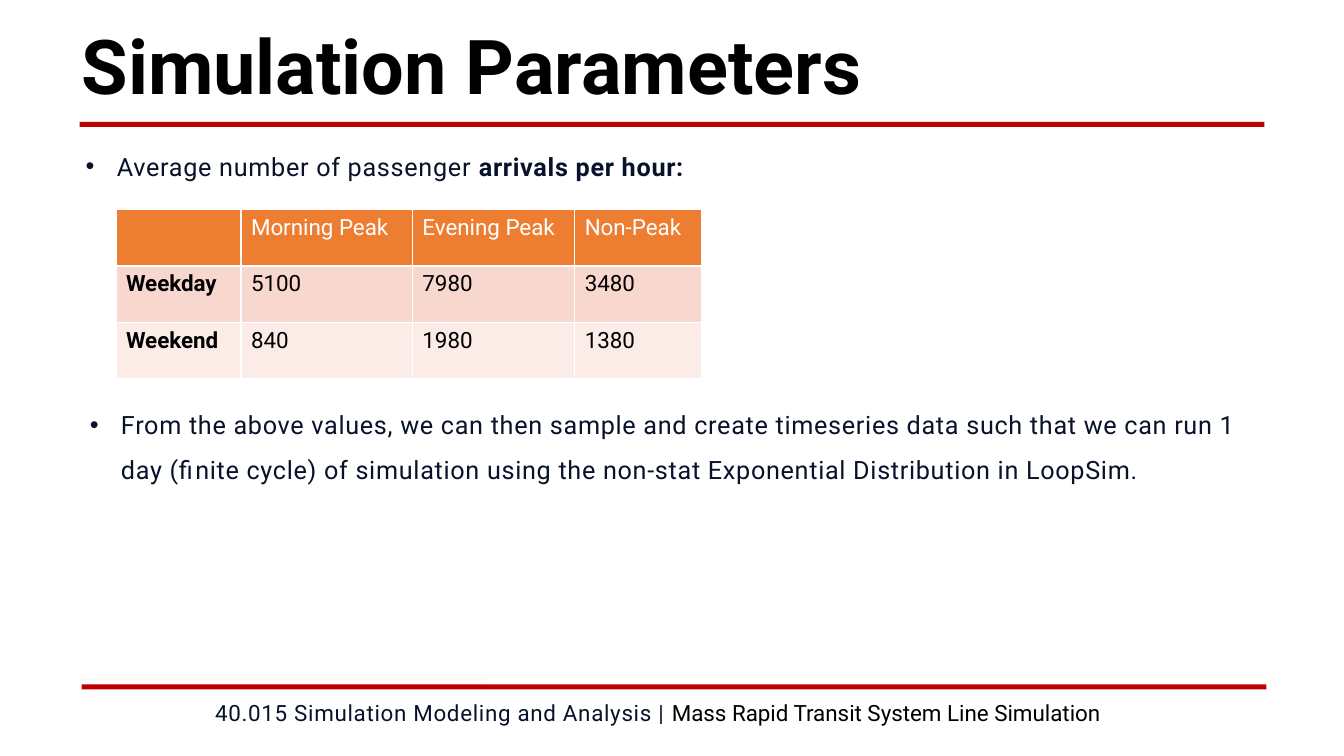
from dataclasses import dataclass

import pptx
import pptx.dml.color
import pptx.enum.shapes
import pptx.enum.text
import pptx.util

EMU_PER_PX = 9144
FONT = "Roboto"
COLORS = {
    "red": "C00000",
    "pale": "F5F6F4",
    "navy": "08122B",
    "black": "000000",
    "white": "FFFFFF",
    "header": "ED7D31",
    "weekday": "F8D7CE",
    "weekend": "FCECE8",
}
COLUMN_WIDTHS = (124, 170, 161, 126)
ROW_HEIGHT = 56


@dataclass(frozen=True)
class Box:
    left: int
    top: int
    width: int
    height: int

    def emu(self) -> tuple:
        return tuple(px(side) for side in (self.left, self.top, self.width, self.height))


@dataclass(frozen=True)
class Bar:
    box: Box
    color: str


@dataclass(frozen=True)
class Run:
    text: str
    color: str = "navy"
    bold: bool = False
    spacing: int = 50


@dataclass(frozen=True)
class Bullet:
    placeholder: int
    box: Box
    runs: tuple
    line_spacing: object
    inset: tuple


@dataclass(frozen=True)
class Row:
    cells: tuple
    fill: str
    color: str = "black"
    bold_first: bool = True


def px(value: int):
    return pptx.util.Emu(value * EMU_PER_PX)


def rgb(name: str):
    return pptx.dml.color.RGBColor.from_string(COLORS[name])


TIGHT = pptx.util.Pt(14.9)

BARS = (
    Bar(Box(77, 674, 405, 1), "pale"),
    Bar(Box(81, 679, 1175, 5), "red"),
    Bar(Box(79, 121, 1175, 5), "red"),
)
BULLETS = (
    Bullet(1, Box(85, 159, 1171, 274),
           (Run("Average number of passenger "), Run("arrivals per hour:", bold=True)),
           TIGHT, (0, 0)),
    Bullet(2, Box(79, 386, 1175, 96),
           (Run("From the above values, we can then sample and create timeseries data "
                "such that we can run 1 day (finite cycle) of simulation using the "
                "non-stat Exponential Distribution in LoopSim."),),
           1.5, (10, 5)),
)
FOOTER = (
    Run("40.015 Simulation Modeling and Analysis | "),
    Run("Mass Rapid Transit System Line Simulation", "black", spacing=0),
)
ROWS = (
    Row(("", "Morning Peak", "Evening Peak", "Non-Peak"), "header", "white", False),
    Row(("Weekday", "5100", "7980", "3480"), "weekday"),
    Row(("Weekend", "840", "1980", "1380"), "weekend"),
)


def draw_bar(slide, bar: Bar) -> None:
    shape = slide.shapes.add_shape(pptx.enum.shapes.MSO_SHAPE.RECTANGLE, *bar.box.emu())
    shape.shadow.inherit = False
    shape.fill.solid()
    shape.fill.fore_color.rgb = rgb(bar.color)
    shape.line.fill.background()


def write_text(shape, box: Box, runs: tuple, size: int, line_spacing,
               align, inset: tuple = (0, 0)):
    shape.left, shape.top, shape.width, shape.height = box.emu()
    frame = shape.text_frame
    frame.word_wrap = True
    frame.auto_size = pptx.enum.text.MSO_AUTO_SIZE.NONE
    frame.vertical_anchor = pptx.enum.text.MSO_ANCHOR.TOP
    frame.margin_left = frame.margin_right = px(inset[0])
    frame.margin_top = frame.margin_bottom = px(inset[1])
    paragraph = frame.paragraphs[0]
    paragraph.alignment = align
    paragraph.line_spacing = line_spacing
    paragraph.space_before = pptx.util.Pt(0)
    paragraph.font.name = FONT
    paragraph.font.size = pptx.util.Pt(size)
    for item in runs:
        run = paragraph.add_run()
        run.text = item.text
        run.font.name = FONT
        run.font.size = pptx.util.Pt(size)
        run.font.bold = item.bold
        run.font.color.rgb = rgb(item.color)
        run.font._element.set("spc", str(item.spacing))
    return paragraph


def draw_bullet(slide, bullet: Bullet) -> None:
    paragraph = write_text(slide.placeholders[bullet.placeholder], bullet.box, bullet.runs,
                           18, bullet.line_spacing, pptx.enum.text.PP_ALIGN.LEFT, bullet.inset)
    properties = paragraph._p.get_or_add_pPr()
    properties.set("marL", str(px(31)))
    properties.set("indent", str(px(-31)))


def draw_table(slide) -> None:
    box = Box(115, 208, sum(COLUMN_WIDTHS), ROW_HEIGHT * len(ROWS))
    table = slide.shapes.add_table(len(ROWS), len(COLUMN_WIDTHS), *box.emu()).table
    for column, width in zip(table.columns, COLUMN_WIDTHS):
        column.width = px(width)
    for row_index, row in enumerate(ROWS):
        for column_index, text in enumerate(row.cells):
            cell = table.cell(row_index, column_index)
            cell.fill.solid()
            cell.fill.fore_color.rgb = rgb(row.fill)
            cell.text = text
            font = cell.text_frame.paragraphs[0].font
            font.name = FONT
            font.size = pptx.util.Pt(16)
            font.bold = row.bold_first and column_index == 0
            font.color.rgb = rgb(row.color)


def main() -> None:
    presentation = pptx.Presentation()
    presentation.slide_width = px(1333)
    presentation.slide_height = px(750)
    slide = presentation.slides.add_slide(presentation.slide_layouts[3])
    for bar in BARS:
        draw_bar(slide, bar)
    write_text(slide.shapes.title, Box(81, 88, 1025, 36),
               (Run("Simulation Parameters", "black", True, 0),),
               54, TIGHT, pptx.enum.text.PP_ALIGN.LEFT)
    for bullet in BULLETS:
        draw_bullet(slide, bullet)
    draw_table(slide)
    footer_box = Box(168, 700, 969, 22)
    footer = slide.shapes.add_textbox(*footer_box.emu())
    write_text(footer, footer_box, FOOTER, 16, TIGHT, pptx.enum.text.PP_ALIGN.CENTER)
    presentation.save("out.pptx")


if __name__ == "__main__":
    main()
